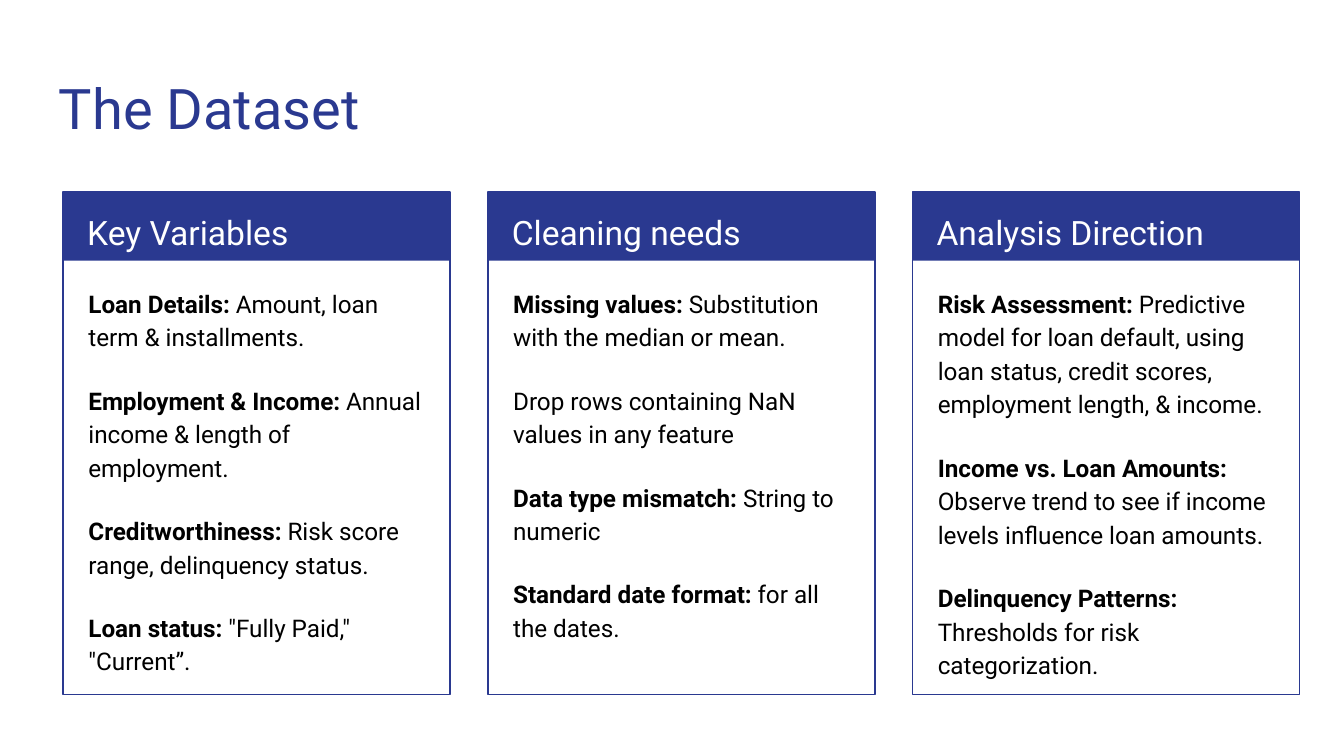
from typing import NamedTuple

from pptx import Presentation
from pptx.dml.color import RGBColor
from pptx.enum.shapes import MSO_SHAPE as Preset
from pptx.enum.text import MSO_ANCHOR as Anchor, PP_ALIGN as Align
from pptx.util import Inches, Pt

WIDTH = 10
HEIGHT = WIDTH * 9 / 16
FONT = "Roboto"
NAVY, WHITE, BLACK = "2A3990", "FFFFFF", "000000"

# Column grid, in inches
FIRST_LEFT, PITCH, CARD_WIDTH = 0.47, 3.16, 2.88
CARD_TOP, CARD_HEIGHT, HEADER_HEIGHT = 1.43, 3.74, 0.51
HEADING_INSET, HEADING_HEIGHT = 0.08, 0.5
POINTS_INSET, POINTS_TOP, POINTS_HEIGHT = 0.09, 2.02, 3.06


class Box(NamedTuple):
    left: float
    top: float
    width: float
    height: float

    def emu(self) -> list[int]:
        return [Inches(length) for length in self]


class Point(NamedTuple):
    label: str
    detail: str


class Card(NamedTuple):
    heading: str
    points: list[Point]


CARDS = [
    Card("Key Variables", [
        Point("Loan Details:", " Amount, loan term & installments."),
        Point("Employment & Income:", " Annual income & length of employment."),
        Point("Creditworthiness:", " Risk score range, delinquency status."),
        Point("Loan status:", ' "Fully Paid," "Current”.'),
    ]),
    Card("Cleaning needs", [
        Point("Missing values: ", "Substitution with the median or mean."),
        Point("", "Drop rows containing NaN values in any feature"),
        Point("Data type mismatch: ", "String to numeric"),
        Point("Standard date format: ", "for all the dates."),
    ]),
    Card("Analysis Direction", [
        Point("Risk Assessment:", " Predictive model for loan default, using loan "
              "status, credit scores, employment length, & income."),
        Point("Income vs. Loan Amounts: ", "Observe trend to see if income levels "
              "influence loan amounts."),
        Point("Delinquency Patterns: ", "Thresholds for risk categorization."),
    ]),
]


def color(hex_code: str) -> RGBColor:
    return RGBColor.from_string(hex_code)


def add_rectangle(slide, box: Box, fill: str = "", line: str = "") -> None:
    rectangle = slide.shapes.add_shape(Preset.RECTANGLE, *box.emu())
    rectangle.shadow.inherit = False
    if fill:
        rectangle.fill.solid()
        rectangle.fill.fore_color.rgb = color(fill)
    else:
        rectangle.fill.background()
    if line:
        rectangle.line.color.rgb = color(line)
        rectangle.line.width = Pt(0.75)
    else:
        rectangle.line.fill.background()


def add_text(slide, box: Box, points: list[Point], size: float, hex_code: str,
             spacing: float = 1.15) -> None:
    """Write one paragraph per point, its label in bold."""
    frame = slide.shapes.add_textbox(*box.emu()).text_frame
    frame.word_wrap = True
    frame.vertical_anchor = Anchor.TOP
    frame.margin_left = frame.margin_right = Inches(0.1)
    frame.margin_top = frame.margin_bottom = Inches(0.1)
    for index, point in enumerate(points):
        paragraph = frame.add_paragraph() if index else frame.paragraphs[0]
        paragraph.alignment = Align.LEFT
        paragraph.line_spacing = spacing
        paragraph.space_before = Pt(16 if index else 0)
        for text, bold in ((point.label, True), (point.detail, False)):
            if text:
                run = paragraph.add_run()
                run.text = text
                run.font.name = FONT
                run.font.size = Pt(size)
                run.font.bold = bold
                run.font.color.rgb = color(hex_code)


def add_card(slide, card: Card, column: int) -> None:
    left = FIRST_LEFT + column * PITCH
    header = Box(left, CARD_TOP, CARD_WIDTH, HEADER_HEIGHT)
    add_rectangle(slide, header, fill=NAVY)
    add_rectangle(slide, header._replace(height=CARD_HEIGHT), line=NAVY)
    heading = Box(left + HEADING_INSET, CARD_TOP,
                  CARD_WIDTH - 2 * HEADING_INSET, HEADING_HEIGHT)
    add_text(slide, heading, [Point("", card.heading)], 18, WHITE)
    points = Box(left + POINTS_INSET, POINTS_TOP,
                 CARD_WIDTH - 2 * POINTS_INSET, POINTS_HEIGHT)
    add_text(slide, points, card.points, 13, BLACK)


def main() -> None:
    deck = Presentation()
    deck.slide_width, deck.slide_height = Inches(WIDTH), Inches(HEIGHT)
    slide = deck.slides.add_slide(deck.slide_layouts[6])
    slide.background.fill.solid()
    slide.background.fill.fore_color.rgb = color(WHITE)

    title = Box(0.34, 0.45, WIDTH - 2 * 0.34, 0.66)
    add_text(slide, title, [Point("", "The Dataset")], 30, NAVY, spacing=1.0)
    for column, card in enumerate(CARDS):
        add_card(slide, card, column)
    deck.save("out.pptx")


if __name__ == "__main__":
    main()
